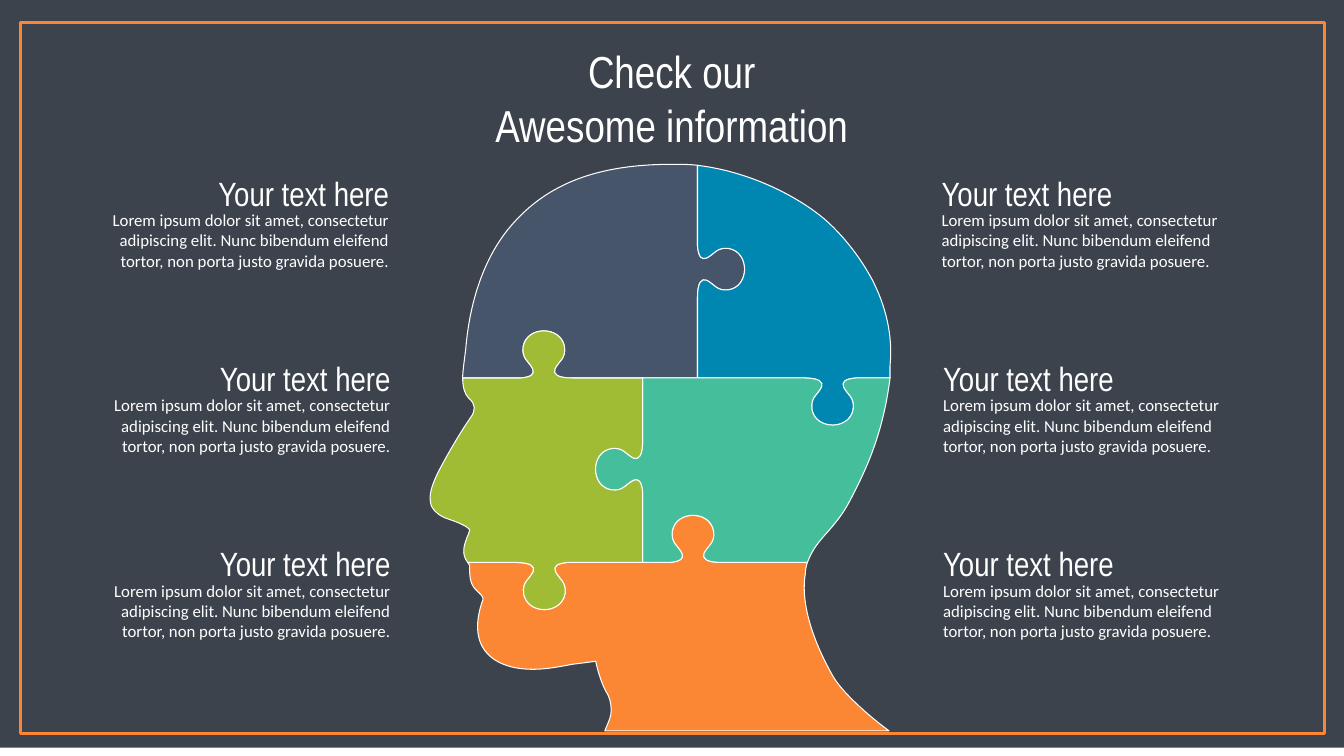
from lxml import etree
from pptx import Presentation
from pptx.dml.color import RGBColor
from pptx.enum.shapes import MSO_SHAPE
from pptx.enum.text import MSO_AUTO_SIZE, PP_ALIGN
from pptx.oxml.ns import qn
from pptx.util import Pt

RECT = MSO_SHAPE.RECTANGLE
GROW = MSO_AUTO_SIZE.SHAPE_TO_FIT_TEXT
LEFT, MID, RIGHT = PP_ALIGN.LEFT, PP_ALIGN.CENTER, PP_ALIGN.RIGHT
HEAD_FONT, BODY_FONT = "Arial Narrow", "Calibri"
COLORS = {
    "night": "222A35", "white": "FFFFFF", "orange": "FB8734", "slate": "46556A",
    "blue": "0087B1", "teal": "45BE9B", "olive": "A0BC34",
}
HEADING = "Your text here"
BODY = ("Lorem ipsum dolor sit amet, consectetur adipiscing elit. "
        "Nunc bibendum eleifend tortor, non porta justo gravida posuere.")

GRID = 462
TOP, BROW, MOUTH, BASE = 1, 212, 395, 562
UPPER, LOWER = 268, 213.5
KNOB = [(28.5, 0), (13, 0), (9, 4), (11, 9), (15, 17), (22, 19), (20.5, 31),
        (18.75, 41.5), (9.4, 46.75), (0, 46.75), (-9.4, 46.75), (-18.75, 41.5),
        (-20.5, 31), (-22, 19), (-15, 17), (-11, 9), (-9, 4), (-12, 1), (-23, 0)]
CROWN = [(UPPER, TOP), (260, 0), (252, 0), (243, 0), (169, 0), (119, 19), (83, 61),
         (47, 103), (40, 160), (38, 184), (37, 192), (35, 206), (35, BROW)]
BACK = [(459, BROW), (459, 208), (459, 204), (459, 200), (462, 170), (455, 140),
        (440, 112), (425, 85), (407, 66), (397, 57), (375, 37), (326, 8), (UPPER, TOP)]
NAPE = [(377, MOUTH), (382, 382), (388, 375), (396, 366), (403, 358), (411, 349),
        (418, 336), (435, 304), (452, 268), (459, BROW)]
FACE = [(35, BROW), (35, 221), (37, 228), (41, 232), (48, 238), (48, 244), (43, 251),
        (31, 268), (13, 300), (9, 309), (6, 316), (0, 328), (4, 339),
        (6, 343), (11, 349), (21, 352), (42, 359), (42, 363), (42, 363),
        (41, 366), (40, 369), (39, 371), (37, 377), (33, 386), (40, MOUTH)]
NECK = [(377, MOUTH), (376, 398), (375, 402), (375, 406), (368, 446), (395, 495),
        (403, 509), (414, 527), (444, 552), (458, BASE)]
JAW = [(42, 398), (42, 405), (41, 416), (49, 423), (50, 424), (50, 424), (51, 425),
       (56, 430), (56, 430), (54, 435), (42, 472), (58, 488), (73, 495),
       (82, 499), (92, 501), (105, 501), (119, 501), (133, 498), (144, 496),
       (152, 495), (160, 494), (167, 493), (169, 503), (174, 519), (179, 526),
       (182, 532), (183, 540), (182, 546), (181, 551), (178, 557), (176, BASE)]


def tint(name):
    """Return the named colour."""
    return RGBColor.from_string(COLORS[name])


def knob(x, y, turn):
    """Return a jigsaw knob on an edge, rotated by clockwise quarter turns."""
    knots = [(a, -b) for a, b in KNOB]
    for _ in range(turn):
        knots = [(-b, a) for a, b in knots]
    return [(x + a, y + b) for a, b in knots]


def style(shape, fill=None, line=None, width=0.75):
    """Set the fill and line of a shape."""
    shape.shadow.inherit = False
    if fill:
        shape.fill.solid()
        shape.fill.fore_color.rgb = tint(fill)
    else:
        shape.fill.background()
    if line:
        shape.line.color.rgb = tint(line)
        shape.line.width = Pt(width)
    else:
        shape.line.fill.background()


def panel(slide, box, **look):
    """Draw a plain rectangle."""
    shape = slide.shapes.add_shape(RECT, *map(Pt, box))
    style(shape, **look)
    return shape


def backdrop(slide, box):
    """Draw the see-through dark ground and the orange frame."""
    x, y, w, h = box
    ground = panel(slide, (x, y - 6, w, h), fill="night")
    color = ground._element.find(".//" + qn("a:srgbClr"))
    etree.SubElement(color, qn("a:alpha")).set("val", "88000")
    panel(slide, (x + 14.4, y + 15.84, w - 28.4, h - 31.7), line="orange", width=2)


def write(slide, box, lines, size, font, align):
    """Add a text box with one paragraph per line."""
    frame = slide.shapes.add_textbox(*map(Pt, box)).text_frame
    frame.word_wrap = True
    frame.auto_size = GROW
    for i, line in enumerate(lines):
        para = frame.add_paragraph() if i else frame.paragraphs[0]
        para.alignment = align
        run = para.add_run()
        run.text = line
        run.font.size = Pt(size)
        run.font.name = font
        run.font.color.rgb = tint("white")


def piece(slide, box, chains, fill):
    """Draw a closed outline from chains of cubic curves joined by lines."""
    x, y, w = box
    unit = w / GRID
    dots, bends = [], []
    for chain in chains:
        if not dots or dots[-1] != chain[0]:
            dots.append(chain[0])
        bends += range(len(dots), len(dots) + len(chain) - 1, 3)
        dots += chain[1:]
    spots = [(Pt(x + a * unit), Pt(y + b * unit)) for a, b in dots]
    pen = slide.shapes.build_freeform(*spots[0])
    pen.add_line_segments(spots[1:], close=True)
    shape = pen.convert_to_shape()
    style(shape, fill=fill, line="white")
    track = shape._element.find(".//" + qn("a:path"))
    steps = list(track)
    for i in bends:
        curve = etree.Element(qn("a:cubicBezTo"))
        track.replace(steps[i], curve)
        for step in steps[i:i + 3]:
            curve.append(step[0])
        for step in steps[i + 1:i + 3]:
            track.remove(step)


def head(slide, box):
    """Draw the five jigsaw pieces of the head."""
    slate, blue = knob(UPPER, 104, 1), knob(402, BROW, 2)
    nose, chin = knob(115.5, BROW, 0), knob(116, MOUTH, 2)
    teal, neck = knob(LOWER, 302.5, 3), knob(263.5, MOUTH, 0)
    peak, hub, seam = [(UPPER, BROW)], [(LOWER, BROW)], [(LOWER, MOUTH)]
    pieces = {
        "slate": [CROWN, nose[::-1], peak, slate],
        "orange": [[(40, MOUTH)], chin, neck[::-1], NECK, JAW[::-1]],
        "blue": [slate[::-1], peak, blue, BACK],
        "teal": [blue[::-1], hub, teal, seam, neck[::-1], NAPE],
        "olive": [hub, teal, seam, chin[::-1], FACE[::-1], nose[::-1]],
    }
    for fill, chains in pieces.items():
        piece(slide, box, chains, fill)


def column(slide, box, align):
    """Stack three headed notes, the first a little to the left."""
    x, y, w, pitch = box
    for row in range(3):
        left = x if row else x - 1.1
        top = y + row * pitch
        write(slide, (left, top + 26.4, w, 51), [BODY], 12, BODY_FONT, align)
        write(slide, (left, top, w, 36), [HEADING], 24, HEAD_FONT, align)


def main():
    """Build and save the slide."""
    deck = Presentation()
    deck.slide_width, deck.slide_height = Pt(960), Pt(540)
    slide = deck.slides.add_slide(deck.slide_layouts[6])
    backdrop(slide, (0, 0, 960, 540))
    write(slide, (63.4, 27.6, 833, 85), ["Check our", "Awesome information"],
          32, HEAD_FONT, MID)
    head(slide, (305.28, 117.36, 332.64))
    column(slide, (666.6, 120.1, 231, 132.2), LEFT)
    column(slide, (55, 120.1, 231, 132.2), RIGHT)
    deck.save("out.pptx")


if __name__ == "__main__":
    main()
